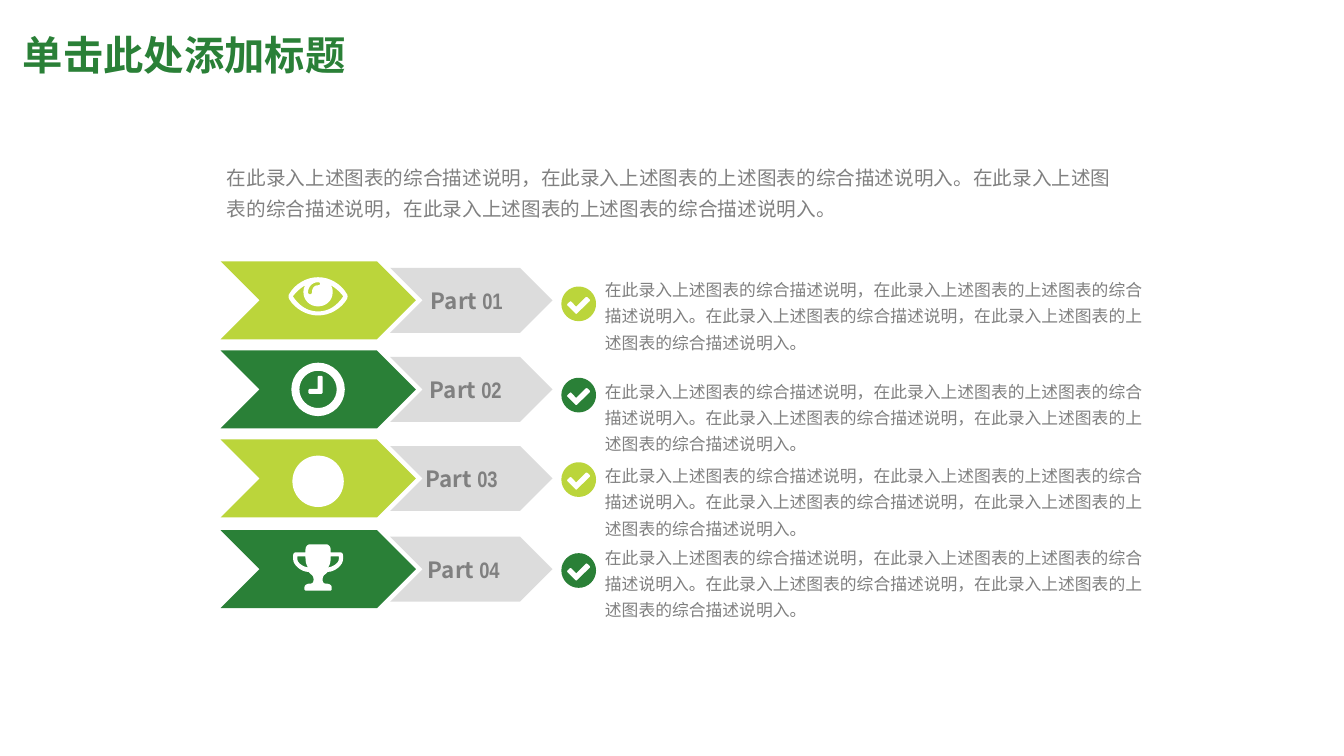
from lxml.etree import SubElement
from pptx import Presentation
from pptx.dml.color import RGBColor
from pptx.enum.shapes import MSO_SHAPE
from pptx.enum.text import MSO_ANCHOR, PP_ALIGN
from pptx.oxml.ns import qn
from pptx.util import Inches, Pt

THEME = {
    "lime": "BBD53B", "green": "2A8037", "grey": "808080",
    "pale": "D9D9D9", "white": "FFFFFF",
    "title": 28.8, "part": 16, "intro": 14, "body": 12,
    "font": "Noto Sans CJK SC", "head": "Calibri", "num": "Arial Narrow",
}
CELL = Inches(1) / 12  # the slide is a grid of 160 columns by 90 rows
STEPS = 8


def write(shapes, box, runs, size, color="grey", bold=False, align=PP_ALIGN.LEFT,
          anchor=MSO_ANCHOR.TOP, lead=None, wrap=True, inset=(0, 0)):
    """Add a text box; box is in grid cells, runs are (text, font) pairs."""
    frame = shapes.add_textbox(*[round(v * CELL) for v in box]).text_frame
    frame.word_wrap = wrap
    frame.vertical_anchor = anchor
    frame.margin_left = frame.margin_right = Inches(inset[0])
    frame.margin_top = frame.margin_bottom = Inches(inset[1])
    para = frame.paragraphs[0]
    para.alignment = align
    if lead:
        para.line_spacing = lead
    for text, face in runs:
        run = para.add_run()
        run.text = text
        font = run.font
        font.name, font.size, font.bold = face, Pt(THEME[size]), bold
        font.color.rgb = RGBColor.from_string(THEME[color])
        SubElement(font._element, qn("a:ea")).set("typeface", THEME["font"])


def draw(x, y, loops, color):
    """Fill loops around a grid point, in 1/100 inch; six numbers make a cubic curve."""
    pen = None
    for loop in loops:
        dots = [loop[0]]
        for part in loop[1:]:
            if len(part) == 2:
                dots.append(part)
                continue
            a, b, c, d = dots[-1], part[:2], part[2:4], part[4:]
            for n in range(1, STEPS + 1):
                t = n / STEPS
                u = 1 - t
                dots.append([u**3 * a[i] + 3 * u * u * t * b[i] + 3 * u * t * t * c[i]
                             + t**3 * d[i] for i in (0, 1)])
        dots = [(px * 100, py * 100) for px, py in dots]
        if pen is None:
            pen = slide.shapes.build_freeform(*dots[0], scale=Inches(1) / 10000)
        else:
            pen.move_to(*dots[0])
        pen.add_line_segments(dots[1:], close=True)
    shape = pen.convert_to_shape(round(x * CELL), round(y * CELL))
    shape.shadow.inherit = False
    shape.fill.solid()
    shape.fill.fore_color.rgb = RGBColor.from_string(THEME[color])
    shape.line.fill.background()


# Icon outlines, centred on zero
circle = [(0, 1), (-.55, 1, -1, .55, -1, 0), (-1, -.55, -.55, -1, 0, -1),
          (.55, -1, 1, -.55, 1, 0), (1, .55, .55, 1, 0, 1)]
disc, rim, face = [[[v * r for v in part] for part in circle] for r in (17.2, 26.5, 18.5)]

tick = [disc, [
    (11, -4.5), (9, -6.5), (8, -7.2, 7.4, -7.2, 6.6, -6.5), (-2.5, 2.6), (-7, -2),
    (-7.8, -2.8, -8.4, -2.8, -9.2, -2), (-11, -.3), (-11.8, .5, -11.8, 1.2, -11, 2),
    (-3.3, 9.6), (-2.8, 10.2, -2.2, 10.2, -1.6, 9.6), (11, -2.6),
    (11.6, -3.2, 11.6, -3.9, 11, -4.5)]]

eye = [
    [(28.5, 3), (23, 12, 12, 19, 0, 19), (-12, 19, -23, 12, -28.5, 3),
     (-29.5, 1, -29.5, -1, -28.5, -2.5), (-23, -12, -12, -19, 0, -19),
     (12, -19, 23, -12, 28.5, -2.5), (29.5, -1, 29.5, 1, 28.5, 3)],
    [(12.5, -11), (14, -9, 14.5, -7, 14.5, -4), (14.5, 4, 8, 10, 0, 10),
     (-8, 10, -14.5, 4, -14.5, -4), (-14.5, -7, -14, -9, -12.5, -11),
     (-18, -8, -22, -4, -25, 0), (-19, 9, -11, 15, 0, 15),
     (11, 15, 19, 9, 25, 0), (22, -4, 18, -8, 12.5, -11)],
    [(0, -14), (-6, -14, -10, -9, -10, -4), (-10, -3, -9, -2, -8, -2),
     (-7, -2, -6, -3, -6, -4), (-6, -8, -4, -11, 0, -11),
     (1, -11, 2, -11.5, 2, -12.5), (2, -13.5, 1, -14, 0, -14)]]

clock = [rim, face, [
    (4.5, 3.5), (3.5, 4.5), (-8.5, 4.5), (-9.5, 3.5), (-9.5, .5), (-8.5, -.5),
    (-.5, -.5), (-.5, -12.5), (.5, -13.5), (3.5, -13.5), (4.5, -12.5)]]

cup = [
    [(24.7, -8), (24.7, -3, 18, 4, 9.5, 4.5), (8, 6, 7, 7, 6, 7.5),
     (5, 9, 4.5, 10, 4.5, 12), (4.5, 14, 5, 16, 7.5, 16), (10.5, 16, 13.5, 17, 13.5, 20),
     (13.5, 22), (12.5, 23), (-12.5, 23), (-13.5, 22), (-13.5, 20),
     (-13.5, 17, -10.5, 16, -7.5, 16), (-5, 16, -4.5, 14, -4.5, 12),
     (-4.5, 10, -5, 9, -6, 7.5), (-7, 7, -8, 6, -9.5, 4.5), (-18, 4, -24.7, -3, -24.7, -8),
     (-24.7, -12), (-24.7, -14, -23.5, -15, -21.5, -15), (-12.5, -15), (-12.5, -17.5),
     (-12.5, -20.5, -10.5, -23, -8, -23), (8, -23), (10.5, -23, 12.5, -20.5, 12.5, -17.5),
     (12.5, -15), (21.5, -15), (23.5, -15, 24.7, -14, 24.7, -12)]]
for side in (-1, 1):
    cup.append([(side * 12.5, -11), (side * 20.5, -11), (side * 20.5, -8),
                (side * 20.5, -5, side * 16, -1, side * 10, 0),
                (side * 12, -3, side * 12.5, -6, side * 12.5, -11)])

deck = Presentation()
deck.slide_width, deck.slide_height = Inches(13.33), Inches(7.5)
slide = deck.slides.add_slide(deck.slide_layouts[6])

write(slide.shapes, (1.56, 3.24, 144, 6.48), [("单击此处添加标题", THEME["head"])], "title",
      color="green", bold=True, anchor=MSO_ANCHOR.MIDDLE, inset=(.1, .05))
lead = "在此录入上述图表的综合描述说明，在此录入上述图表的上述图表的综合描述说明入。"
note = [(lead * 2, THEME["font"])]
write(slide.shapes, (27, 18.96, 107.28, 6.96), note, "intro", lead=1.3)

# Per row: colour, middle, icon (None for a plain dot), icon middle, tick middle,
# label left, note top
rows = [
    ("lime", 35.76, eye, 35.28, 36.18, 51.12, 32.6),
    ("green", 46.36, clock, 46.36, 47.04, 51, 44.68),
    ("lime", 56.96, None, 57.3, 57.1, 50.52, 54.74),
    ("green", 67.76, cup, 67.56, 67.92, 50.76, 64.44),
]
for num, (color, mid, icon, spot, mark, left, top) in enumerate(rows, 1):
    group = slide.shapes.add_group_shape()
    parts = [(slide.shapes, MSO_SHAPE.CHEVRON, 26.26, mid, 23.24, 9.28, color),
             (group.shapes, MSO_SHAPE.CHEVRON, 46.44, mid, 19.32, 7.72, "pale")]
    if icon is None:
        parts.insert(1, (slide.shapes, MSO_SHAPE.OVAL, 34.8, spot, 6.12, 6.12, "white"))
    else:
        draw(37.86, spot, icon, "white")
    for shapes, kind, x, y, wide, high, tint in parts:
        shape = shapes.add_shape(kind, *[
            round(v * CELL) for v in (x, y - high / 2, wide, high)])
        shape.shadow.inherit = False
        shape.fill.solid()
        shape.fill.fore_color.rgb = RGBColor.from_string(THEME[tint])
        shape.line.fill.background()
        if tint == color and icon is not None:  # move the arrow behind its icon
            slide.shapes._spTree.insert(2, shape._element)
        if tint == "pale":
            shade = shape._element.spPr.find(qn("a:solidFill"))[0]
            SubElement(shade, qn("a:alpha")).set("val", "90000")
    write(group.shapes, (left, mid - 1.56, 8.88, 3.24),
          [("Part ", THEME["font"]), (f"{num:02}", THEME["num"])], "part",
          bold=True, align=PP_ALIGN.CENTER, anchor=MSO_ANCHOR.MIDDLE, wrap=False)
    draw(68.88, mark, tick, color)
    write(slide.shapes, (72, top, 64.68, 9.48), note, "body", lead=1.3)

deck.save("out.pptx")
